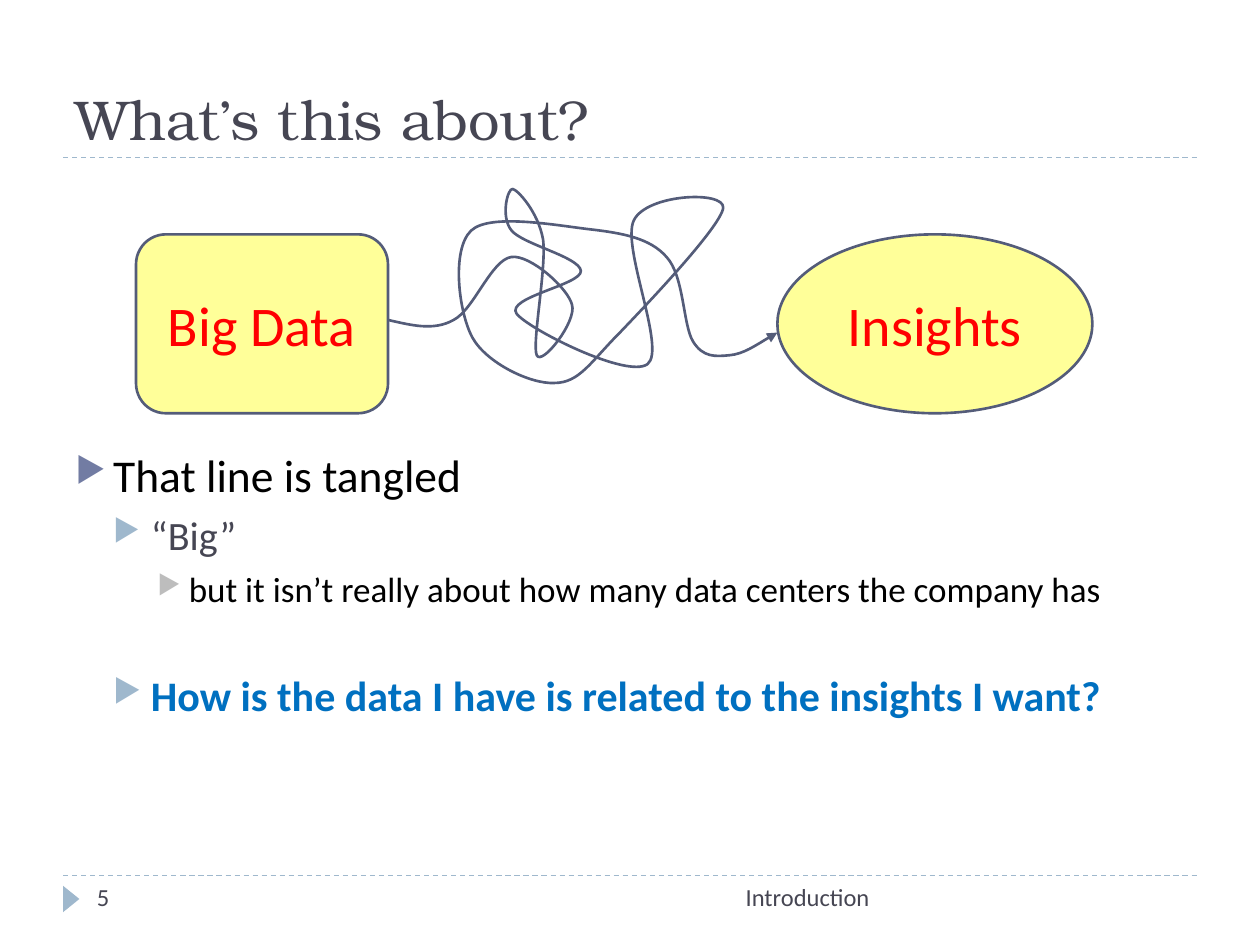
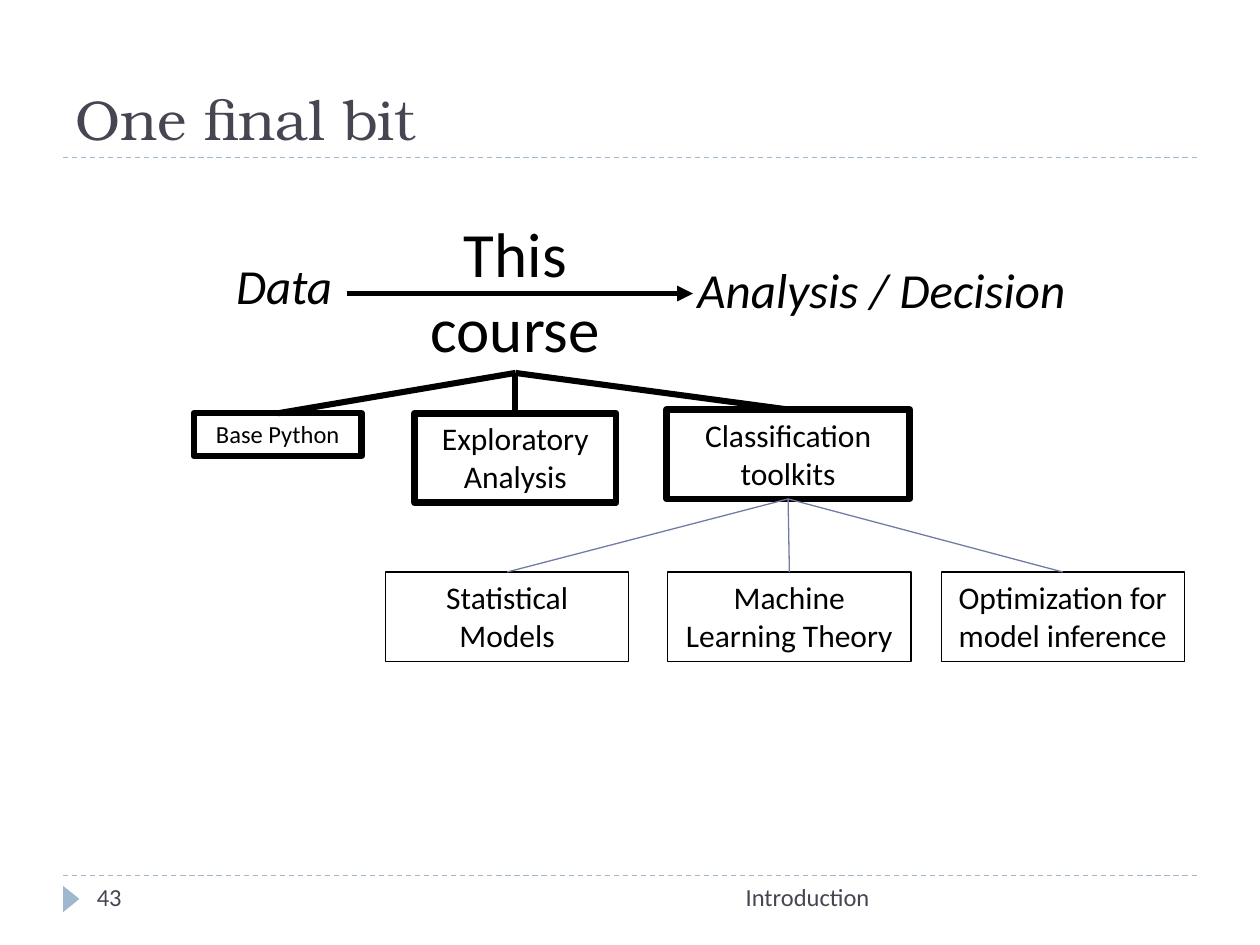
"""Build two lecture slides: a tangled path to insights and a course map."""
from dataclasses import dataclass
from typing import Optional

from lxml.etree import SubElement
from pptx import Presentation
from pptx.dml.color import RGBColor
from pptx.enum.dml import MSO_LINE
from pptx.enum.shapes import MSO_CONNECTOR, MSO_SHAPE
from pptx.enum.text import MSO_ANCHOR, PP_ALIGN
from pptx.oxml.ns import qn
from pptx.util import Inches, Pt

COLORS = {
    "ink": "464653", "band": "9FB8CD", "accent": "727CA3", "outline": "545C79",
    "grey": "BDBDBD", "black": "000000", "yellow": "FFFF00", "red": "FF0000",
    "blue": "0070C0",
}
BODY_FONT = "Calibri"
TITLE_FONT = "TeX Gyre Bonum"
Rect = tuple[float, float, float, float]
Point = tuple[float, float]


@dataclass(frozen=True)
class TextStyle:
    size: float
    color: str = "black"
    font: str = BODY_FONT
    bold: bool = False
    italic: bool = False
    align: PP_ALIGN = PP_ALIGN.CENTER
    anchor: MSO_ANCHOR = MSO_ANCHOR.TOP


@dataclass(frozen=True)
class Bullet:
    text: str
    level: int
    size: float
    color: str
    before: float
    bold: bool = False


@dataclass(frozen=True)
class Box:
    text: str
    at: Rect
    width: float
    size: float = 18


TITLE = TextStyle(32, "ink", TITLE_FONT, align=PP_ALIGN.LEFT, anchor=MSO_ANCHOR.BOTTOM)
FOOTER = TextStyle(14, "ink", align=PP_ALIGN.RIGHT)
PAGE_NUMBER = TextStyle(14, "ink", align=PP_ALIGN.LEFT)
NODE = TextStyle(32, "red", anchor=MSO_ANCHOR.MIDDLE)
ENDPOINT = TextStyle(28, italic=True)

BULLET_LEVELS = [(0.3, 0.3, "accent"), (0.6, 0.3, "band"), (0.9, 0.25, "grey")]
BULLETS = [
    Bullet("That line is tangled", 0, 26, "black", 6),
    Bullet("“Big”", 1, 23, "ink", 5),
    Bullet("but it isn’t really about how many data centers the company has", 2, 20, "black", 5),
    Bullet("How is the data I have is related to the insights I want?", 1, 24, "blue", 34.4, True),
]

TANGLE_START = (3.08, 2.54)
TANGLE_CURVES = [
    ((3.26, 2.58), (3.44, 2.63), (3.6, 2.54)),
    ((3.76, 2.46), (3.9, 2.06), (4.06, 2.04)),
    ((4.21, 2.02), (4.51, 2.29), (4.54, 2.42)),
    ((4.58, 2.55), (4.3, 2.91), (4.26, 2.82)),
    ((4.22, 2.73), (4.34, 2.12), (4.31, 1.9)),
    ((4.27, 1.68), (4.11, 1.51), (4.07, 1.5)),
    ((4.03, 1.49), (3.97, 1.72), (4.06, 1.83)),
    ((4.15, 1.94), (4.6, 2.04), (4.61, 2.15)),
    ((4.62, 2.26), (4.01, 2.36), (4.1, 2.49)),
    ((4.19, 2.61), (4.98, 3.01), (5.14, 2.89)),
    ((5.29, 2.77), (4.93, 1.96), (5.03, 1.75)),
    ((5.13, 1.54), (5.75, 1.51), (5.74, 1.65)),
    ((5.72, 1.8), (5.14, 2.41), (4.92, 2.64)),
    ((4.69, 2.87), (4.6, 3.04), (4.4, 3.04)),
    ((4.21, 3.05), (3.86, 2.88), (3.75, 2.68)),
    ((3.64, 2.48), (3.58, 1.98), (3.74, 1.83)),
    ((3.89, 1.69), (4.42, 1.79), (4.68, 1.82)),
    ((4.94, 1.85), (5.16, 1.89), (5.29, 2.04)),
    ((5.43, 2.19), (5.42, 2.58), (5.5, 2.71)),
    ((5.58, 2.84), (5.68, 2.83), (5.79, 2.82)),
    ((5.9, 2.81), (6.03, 2.72), (6.17, 2.64)),
]

TOPICS = [
    Box("Base Python", (1.54, 3.28, 1.33, 0.34), 3.75, 14),
    Box("Exploratory Analysis", (3.29, 3.28, 1.6, 0.71), 3.75),
    Box("Classification toolkits", (5.29, 3.25, 1.93, 0.71), 3.75),
]
TOOLKITS = [
    Box(text, (left, 4.54, 1.93, 0.71), 0.75)
    for text, left in [
        ("Statistical Models", 3.06),
        ("Machine Learning Theory", 5.3),
        ("Optimization for model inference", 7.47),
    ]
]


def rgb(name: str) -> RGBColor:
    """Look up a named colour."""
    return RGBColor.from_string(COLORS[name])


def set_line(sp, color: str, width: float) -> None:
    """Give a shape or connector a solid line."""
    sp.line.color.rgb = rgb(color)
    sp.line.width = Pt(width)


def add_arrowhead(sp) -> None:
    """End a line with a triangle."""
    SubElement(sp.line._get_or_add_ln(), qn("a:tailEnd"), type="triangle")


def add_run(p, text: str, style: TextStyle) -> None:
    """Append one styled run."""
    r = p.add_run()
    r.text = text
    r.font.name = style.font
    r.font.size = Pt(style.size)
    r.font.bold = style.bold
    r.font.italic = style.italic
    r.font.color.rgb = rgb(style.color)


def write(sp, text: str, style: TextStyle) -> None:
    """Fill a shape with one styled paragraph."""
    tf = sp.text_frame
    tf.word_wrap = True
    tf.vertical_anchor = style.anchor
    p = tf.paragraphs[0]
    p.alignment = style.align
    add_run(p, text, style)


def add_text(s, at: Rect, text: str, style: TextStyle):
    """Add a wrapped text box."""
    sp = s.shapes.add_textbox(*map(Inches, at))
    write(sp, text, style)
    return sp


def add_line(s, start: Point, end: Point, color: str, width: float):
    """Add a straight connector without a shadow."""
    sp = s.shapes.add_connector(MSO_CONNECTOR.STRAIGHT, *map(Inches, start + end))
    set_line(sp, color, width)
    SubElement(sp.element.spPr, qn("a:effectLst"))
    return sp


def add_shape(s, kind: MSO_SHAPE, at: Rect, fill: Optional[str]):
    """Add a preset shape without a shadow or a line."""
    sp = s.shapes.add_shape(kind, *map(Inches, at))
    sp.shadow.inherit = False
    sp.line.fill.background()
    if fill:
        sp.fill.solid()
        sp.fill.fore_color.rgb = rgb(fill)
    else:
        sp.fill.background()
    return sp


def add_base_slide(prs, title: str, number: str):
    """Add a slide with the shared title, rules and footer."""
    s = prs.slides.add_slide(prs.slide_layouts[6])
    for y in (6.95, 1.25):
        add_line(s, (0.5, y), (9.5, y), "band", 0.75).line.dash_style = MSO_LINE.DASH
    add_shape(s, MSO_SHAPE.ISOSCELES_TRIANGLE, (0.46, 7.07, 0.21, 0.13), "band").rotation = 90
    add_text(s, (0.5, 0.17, 9, 1.08), title, TITLE)
    add_text(s, (3.17, 6.95, 3.83, 0.4), "Introduction", FOOTER)
    add_text(s, (0.67, 6.95, 2.17, 0.4), number, PAGE_NUMBER)
    return s


def add_bullets(s, at: Rect, bullets: list[Bullet]) -> None:
    """Add a bulleted text box with three possible levels."""
    tf = s.shapes.add_textbox(*map(Inches, at)).text_frame
    tf.word_wrap = True
    for i, item in enumerate(bullets):
        p = tf.add_paragraph() if i else tf.paragraphs[0]
        indent, hanging, color = BULLET_LEVELS[item.level]
        p.level = item.level
        p.space_before = Pt(item.before)
        pPr = p._p.get_or_add_pPr()
        pPr.set("marL", str(Inches(indent)))
        pPr.set("indent", str(-Inches(hanging)))
        SubElement(SubElement(pPr, qn("a:buClr")), qn("a:srgbClr"), val=COLORS[color])
        SubElement(pPr, qn("a:buSzPct"), val="76000")
        SubElement(pPr, qn("a:buChar"), char="▶")
        add_run(p, item.text, TextStyle(item.size, item.color, bold=item.bold))


def add_node(s, kind: MSO_SHAPE, at: Rect, text: str) -> None:
    """Add a translucent yellow node."""
    sp = add_shape(s, kind, at, "yellow")
    SubElement(next(sp.element.spPr.iter(qn("a:srgbClr"))), qn("a:alpha"), val="40000")
    set_line(sp, "outline", 1.5)
    write(sp, text, NODE)


def add_curve(s, start: Point, curves: list[tuple[Point, Point, Point]]) -> None:
    """Add an open Bézier curve that ends in an arrowhead."""
    points = [tuple(map(Inches, pt)) for curve in curves for pt in curve]
    builder = s.shapes.build_freeform(*map(Inches, start))
    builder.add_line_segments(points, close=False)
    sp = builder.convert_to_shape()
    segments = list(sp.element.iter(qn("a:lnTo")))
    for first, second, third in zip(*[iter(segments)] * 3):
        first.tag = qn("a:cubicBezTo")
        for segment in (second, third):
            first.append(segment[0])
            segment.getparent().remove(segment)
    sp.shadow.inherit = False
    sp.fill.background()
    set_line(sp, "outline", 1.5)
    add_arrowhead(sp)


def add_box(s, box: Box):
    """Add an outlined topic box."""
    sp = add_shape(s, MSO_SHAPE.RECTANGLE, box.at, None)
    set_line(sp, "black", box.width)
    write(sp, box.text, TextStyle(box.size))
    return sp


def add_branches(s, parent, children: list, color: str, width: float) -> None:
    """Join the top of each child to the bottom of its parent."""
    for child in children:
        sp = add_line(s, (0, 0), (0, 0), color, width)
        sp.begin_connect(child, 0)
        sp.end_connect(parent, 2)


def build_tangle(prs) -> None:
    """Build the slide on the tangled line from data to insights."""
    s = add_base_slide(prs, "What’s this about?", "5")
    add_bullets(s, (0.5, 3.5, 9, 3.23), BULLETS)
    add_node(s, MSO_SHAPE.ROUNDED_RECTANGLE, (1.08, 1.86, 2, 1.42), "Big Data")
    add_node(s, MSO_SHAPE.OVAL, (6.17, 1.86, 2.5, 1.42), "Insights")
    add_curve(s, TANGLE_START, TANGLE_CURVES)


def build_course_map(prs) -> None:
    """Build the slide on the topics of the course."""
    s = add_base_slide(prs, "One final bit", "43")
    add_text(s, (1.17, 1.98, 2.17, 0.57), "Data", ENDPOINT)
    add_text(s, (5.33, 2.01, 3.33, 0.57), "Analysis / Decision", ENDPOINT)
    add_arrowhead(add_line(s, (2.75, 2.33), (5.5, 2.33), "black", 3))
    course = add_text(s, (3.09, 1.65, 2, 1.31), "This course", TextStyle(36))
    topics = [add_box(s, box) for box in TOPICS]
    toolkits = [add_box(s, box) for box in TOOLKITS]
    add_branches(s, course, topics, "black", 3.5)
    add_branches(s, topics[-1], toolkits, "accent", 0.75)


def main() -> None:
    """Build and save the presentation."""
    prs = Presentation()
    prs.slide_width, prs.slide_height = Inches(10), Inches(7.5)
    build_tangle(prs)
    build_course_map(prs)
    prs.save("out.pptx")


if __name__ == "__main__":
    main()
